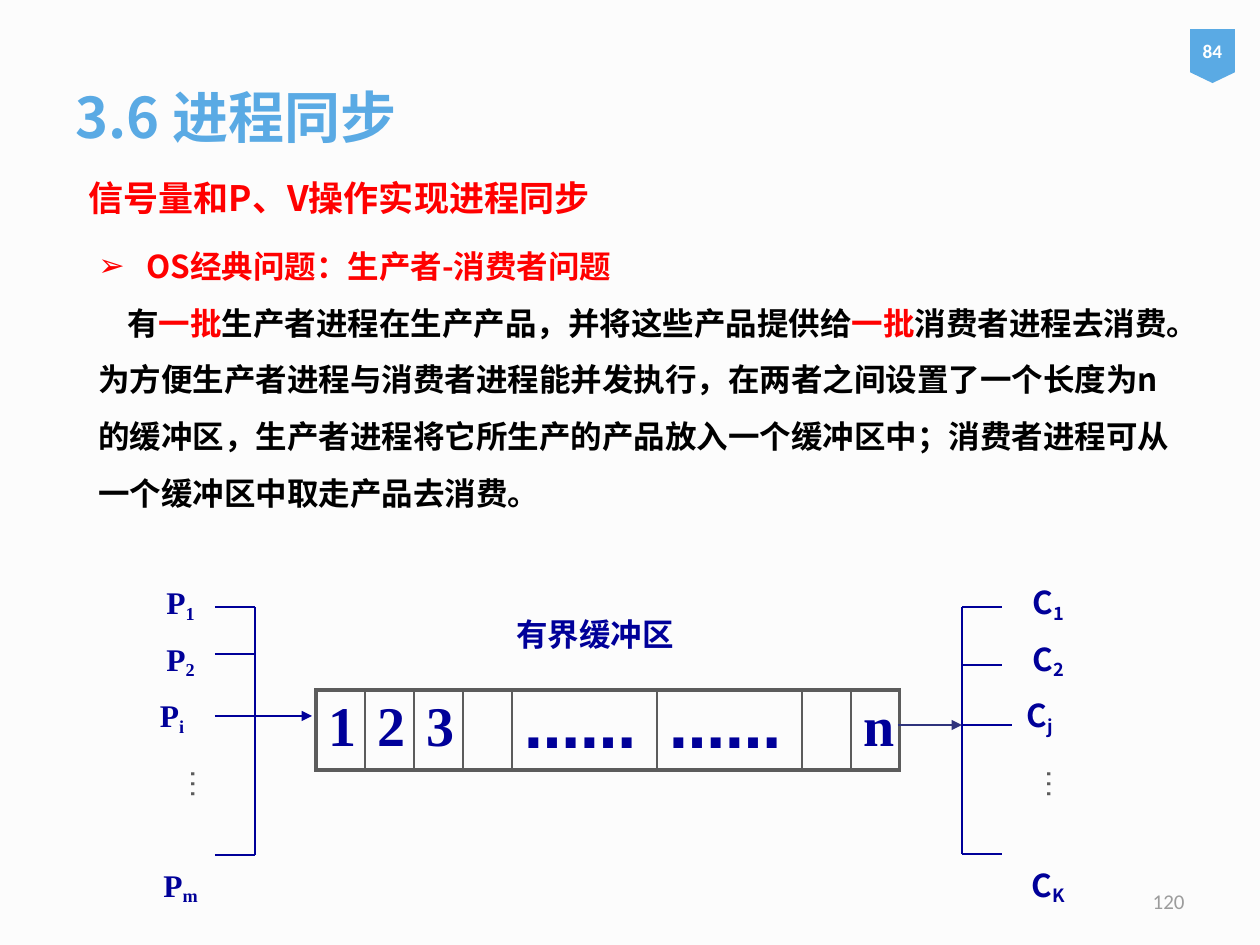
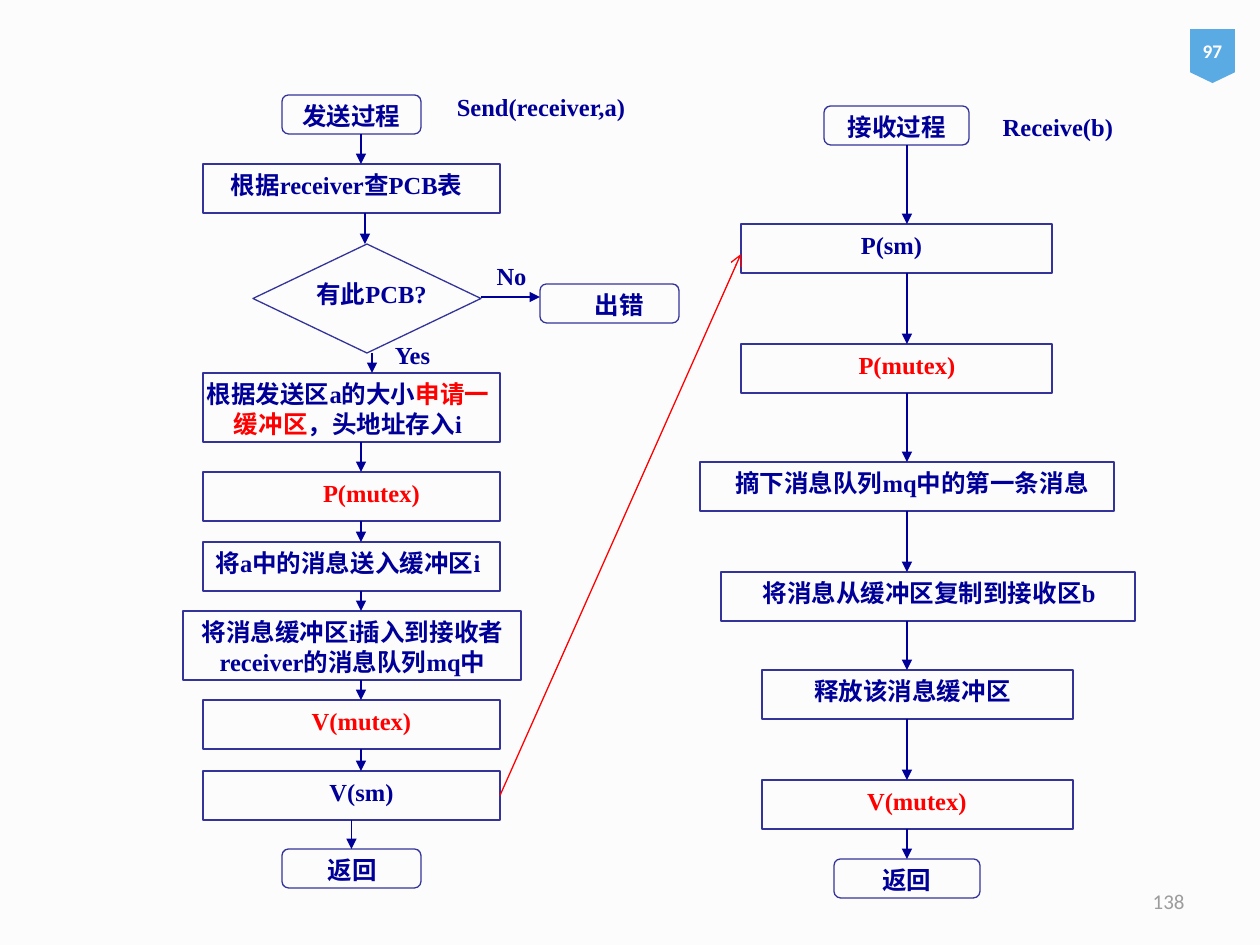
from lxml.etree import SubElement
from pptx import Presentation
from pptx.dml.color import RGBColor
from pptx.enum.shapes import MSO_CONNECTOR, MSO_SHAPE
from pptx.enum.text import MSO_ANCHOR, PP_ALIGN
from pptx.oxml.ns import qn
from pptx.util import Pt

EMU_PER_PX = 914400 / 126
COLORS = {
    "background": "FCFCFC", "accent": "5AAAE4", "white": "FFFFFF", "black": "000000",
    "red": "FF0000", "navy": "000099", "outline": "333399", "link": "2F337C",
    "border": "5C5C5C", "number": "9C9C9C",
}
CJK, SERIF, SANS = "Noto Sans CJK SC", "Times New Roman", "Calibri"
LEFT, CENTER, RIGHT = PP_ALIGN.LEFT, PP_ALIGN.CENTER, PP_ALIGN.RIGHT
RECTANGLE = MSO_SHAPE.RECTANGLE
ROUNDED = MSO_SHAPE.FLOWCHART_ALTERNATE_PROCESS
DECISION = MSO_SHAPE.FLOWCHART_DECISION
TOP_SITE, BOTTOM_SITE, RIGHT_SITE = 0, 2, 3


def px(length):
    return round(length * EMU_PER_PX)


def rgb(name):
    return RGBColor.from_string(COLORS[name])


# Text helpers
def style_run(run, size, color, font=SERIF, bold=True, east_asian=CJK):
    run.font.size = Pt(size)
    run.font.bold = bold
    run.font.color.rgb = rgb(color)
    run.font.name = font
    SubElement(run.font._element, qn("a:ea")).set("typeface", east_asian)


def write(paragraph, text, size, color, align=LEFT, **style):
    """Fill a paragraph with a string or with (text, color) runs."""
    paragraph.alignment = align
    for words, run_color in [(text, color)] if isinstance(text, str) else text:
        run = paragraph.add_run()
        run.text = words
        style_run(run, size, run_color, **style)


def add_text(slide, box, text, size, color, align=CENTER, anchor=MSO_ANCHOR.TOP, **style):
    shape = slide.shapes.add_textbox(*map(px, box))
    frame = shape.text_frame
    frame.word_wrap = True
    frame.vertical_anchor = anchor
    write(frame.paragraphs[0], text, size, color, align, **style)
    return shape


def add_label(slide, left, top, width, text, color="navy"):
    add_text(slide, (left, top, width, 43), text, 14, color)


# Shape helpers
def add_shape(slide, kind, box, fill=None):
    shape = slide.shapes.add_shape(kind, *map(px, box))
    shape.shadow.inherit = False
    if fill:
        shape.fill.solid()
        shape.fill.fore_color.rgb = rgb(fill)
        shape.line.fill.background()
    else:
        shape.fill.background()
        shape.line.color.rgb = rgb("outline")
        shape.line.width = Pt(0.75)
    return shape


def add_line(slide, start, end, color="navy", head=None):
    connector = slide.shapes.add_connector(
        MSO_CONNECTOR.STRAIGHT, *map(px, (*start, *end)))
    connector.line.color.rgb = rgb(color)
    connector.line.width = Pt(0.75)
    properties = connector.element.spPr
    if head:
        SubElement(properties.find(qn("a:ln")), qn("a:tailEnd")).set("type", head)
    SubElement(properties, qn("a:effectLst"))
    return connector


def add_slide(presentation, layout, badge, number):
    slide = presentation.slides.add_slide(presentation.slide_layouts[layout])
    slide.background.fill.solid()
    slide.background.fill.fore_color.rgb = rgb("background")
    # Page badge
    frame = add_shape(slide, MSO_SHAPE.FLOWCHART_OFFPAGE_CONNECTOR,
                      (1190, 29, 45, 54), "accent").text_frame
    frame.margin_left = frame.margin_right = 0
    frame.vertical_anchor = MSO_ANCHOR.MIDDLE
    write(frame.paragraphs[0], badge, 11, "white", CENTER, font=SANS)
    # Slide number
    add_text(slide, (903, 876, 294, 50), number, 12, "number", RIGHT,
             MSO_ANCHOR.MIDDLE, font=SANS, bold=False)
    return slide


# Producer and consumer parts
def add_title(slide, text):
    title = slide.shapes.title
    title.left, title.top, title.width, title.height = map(px, (63, 38, 1134, 157))
    title.text_frame.text = text
    title.text_frame.vertical_anchor = MSO_ANCHOR.MIDDLE
    paragraph = title.text_frame.paragraphs[0]
    paragraph.alignment = LEFT
    style_run(paragraph.runs[0], 32, "accent", font=CJK)


def add_problem(slide, heading, description):
    shape = add_text(slide, (86, 222, 1111, 324), heading, 18, "red", LEFT, font=CJK)
    bullet, body = shape.text_frame.paragraphs[0], shape.text_frame.add_paragraph()
    write(body, description, 18, "black", font=CJK)
    for paragraph, margin, indent in ((bullet, 48, -48), (body, 0, 29)):
        paragraph.line_spacing = 1.5
        properties = paragraph._p.get_or_add_pPr()
        properties.set("marL", str(px(margin)))
        properties.set("indent", str(px(indent)))
    properties = bullet._p.get_or_add_pPr()
    SubElement(properties, qn("a:buFont")).set("typeface", "Arial")
    SubElement(properties, qn("a:buChar")).set("char", "➢")


def set_borders(cell, first, last):
    widths = {"L": 2.25 if first else 1, "R": 2.25 if last else 1, "T": 2.25, "B": 2.25}
    properties = cell._tc.get_or_add_tcPr()
    for side, width in widths.items():
        line = SubElement(properties, qn(f"a:ln{side}"), w=str(Pt(width)))
        fill = SubElement(line, qn("a:solidFill"))
        SubElement(fill, qn("a:srgbClr")).set("val", COLORS["border"])


def add_buffer(slide, slots):
    widths = [145 if slot == "……" else 49 for slot in slots]
    box = (316, 690, sum(widths), 80)
    table = slide.shapes.add_table(1, len(slots), *map(px, box)).table
    table.first_row = table.horz_banding = False
    for index, (slot, width) in enumerate(zip(slots, widths)):
        table.columns[index].width = px(width)
        cell = table.cell(0, index)
        set_borders(cell, index == 0, index == len(slots) - 1)
        cell.fill.background()
        if slot:
            font = "DejaVu Sans" if slot == "……" else SERIF
            write(cell.text_frame.paragraphs[0], slot, 32, "navy", font=font, east_asian=font)


def add_bracket(slide, spine, stub, rows):
    for row in rows:
        add_line(slide, (stub, row), (spine, row))
    add_line(slide, (spine, rows[0]), (spine, rows[-1]))


def add_processes(slide, box, letter, subscripts, font):
    """List four indexed processes, with a gap of two lines before the last."""
    frame = add_text(slide, box, letter, 18, "navy", font=font).text_frame
    frame.margin_left = frame.margin_right = 0
    for index, subscript in enumerate(subscripts):
        paragraph = frame.paragraphs[0]
        if index:
            paragraph = frame.add_paragraph()
            write(paragraph, letter, 18, "navy", CENTER, font=font)
            paragraph.space_before = Pt(73.5 if index == 3 else 9)
        # The third label sits a little to the left of the others
        right_margin = 17 if index == 2 else 0
        paragraph._p.get_or_add_pPr().set("marR", str(px(right_margin)))
        run = paragraph.add_run()
        run.text = subscript
        style_run(run, 18, "navy", font=font)
        run.font._element.set("baseline", "-18000")


def add_vertical_dots(slide, left):
    dots = add_text(slide, (left, 756, 63, 49), "…", 18, "border",
                    font="Arial", bold=False, east_asian="Arial")
    dots.text_frame._txBody.bodyPr.set("vert", "eaVert")


def build_producer_consumer(presentation):
    slide = add_slide(presentation, 5, "84", "120")
    add_title(slide, "3.6 进程同步")
    subtitle = add_text(slide, (76, 149, 1101, 95), "信号量和P、V操作实现进程同步",
                        20, "red", LEFT, font=CJK)
    subtitle.text_frame.paragraphs[0].line_spacing = 1.5
    add_problem(slide, "OS经典问题：生产者-消费者问题", [
        ("有", "black"), ("一批", "red"),
        ("生产者进程在生产产品，并将这些产品提供给", "black"), ("一批", "red"),
        ("消费者进程去消费。为方便生产者进程与消费者进程能并发执行，"
         "在两者之间设置了一个长度为n的缓冲区，生产者进程将它所生产的产品放入"
         "一个缓冲区中；消费者进程可从一个缓冲区中取走产品去消费。", "black")])
    # Bounded buffer
    add_buffer(slide, ["1", "2", "3", "", "……", "……", "", "n"])
    add_text(slide, (461, 609, 268, 50), "有界缓冲区", 18, "navy", font=CJK)
    # Producers
    add_bracket(slide, 255, 215, (607, 654, 855))
    add_line(slide, (215, 716), (312, 716), head="triangle")
    add_processes(slide, (145, 577, 71, 299), "P", "12im", SERIF)
    add_vertical_dots(slide, 166)
    # Consumers
    add_bracket(slide, 962, 1002, (607, 665, 854))
    add_line(slide, (1012, 725), (962, 725))
    add_line(slide, (898, 725), (962, 725), "link", "triangle")
    add_processes(slide, (1012, 577, 73, 297), "C", "12jK", CJK)
    add_vertical_dots(slide, 1022)


# Flowchart parts
def add_step(slide, kind, box, label_left, label_width, text, color="navy"):
    shape = add_shape(slide, kind, box)
    label_top = box[1] + (29 if kind == DECISION else 0)
    add_label(slide, label_left, label_top, label_width, text, color)
    return shape


def add_flow(slide, steps, arrow_columns):
    """Stack steps and join each one to the next at the given column."""
    shapes = [add_step(slide, *step) for step in steps]
    for index, column in enumerate(arrow_columns):
        upper, lower = steps[index][1], steps[index + 1][1]
        arrow = add_line(slide, (column, upper[1] + upper[3]), (column, lower[1]),
                         head="triangle")
        if abs(upper[0] + upper[2] / 2 - column) < 1:
            arrow.begin_connect(shapes[index], BOTTOM_SITE)
        if abs(lower[0] + lower[2] / 2 - column) < 1:
            arrow.end_connect(shapes[index + 1], TOP_SITE)
    return shapes


def build_message_flow(presentation):
    slide = add_slide(presentation, 6, "97", "138")
    # Sending side
    request = [("根据发送区a的大小", "navy"), ("申请一缓冲区", "red"), ("，头地址存入i", "navy")]
    send_steps = [
        (ROUNDED, (282, 95, 139, 39), 272, 159, "发送过程"),
        (RECTANGLE, (203, 164, 297, 49), 193, 307, "根据receiver查PCB表"),
        (DECISION, (253, 244, 228, 109), 292, 159, "有此PCB?"),
        (RECTANGLE, (203, 373, 297, 69), 184, 328, request),
        (RECTANGLE, (203, 472, 297, 49), 292, 159, "P(mutex)", "red"),
        (RECTANGLE, (203, 542, 297, 49), 184, 328, "将a中的消息送入缓冲区i"),
        (RECTANGLE, (183, 611, 338, 69), 164, 377, "将消息缓冲区i插入到接收者receiver的消息队列mq中"),
        (RECTANGLE, (203, 700, 297, 49), 282, 159, "V(mutex)", "red"),
        (RECTANGLE, (203, 771, 297, 49), 282, 159, "V(sm)"),
        (ROUNDED, (282, 849, 139, 39), 273, 159, "返回"),
    ]
    send_shapes = add_flow(slide, send_steps, [361, 365, 372] + [361] * 5 + [352])
    # Missing control block
    add_step(slide, ROUNDED, (540, 284, 139, 39), 540, 159, "出错")
    add_line(slide, (481, 297), (540, 297), head="triangle")
    add_label(slide, 333, 334, 159, "Yes")
    add_label(slide, 432, 255, 159, "No")
    # Receiving side
    receive_steps = [
        (ROUNDED, (824, 106, 145, 39), 814, 166, "接收过程"),
        (RECTANGLE, (741, 224, 311, 49), 731, 321, "P(sm)"),
        (RECTANGLE, (741, 344, 311, 49), 824, 166, "P(mutex)", "red"),
        (RECTANGLE, (700, 462, 414, 49), 689, 446, "摘下消息队列mq中的第一条消息"),
        (RECTANGLE, (721, 572, 414, 49), 711, 436, "将消息从缓冲区复制到接收区b"),
        (RECTANGLE, (762, 670, 311, 49), 752, 321, "释放该消息缓冲区"),
        (RECTANGLE, (762, 780, 311, 49), 834, 166, "V(mutex)", "red"),
        (ROUNDED, (834, 859, 146, 39), 824, 166, "返回"),
    ]
    add_flow(slide, receive_steps, [907] * 7)
    # Call names and the signal between the two sides
    add_label(slide, 432, 86, 218, "Send(receiver,a)")
    add_label(slide, 970, 106, 176, "Receive(b)")
    signal = add_line(slide, (501, 796), (741, 254), "red", "arrow")
    signal.begin_connect(send_shapes[-2], RIGHT_SITE)


def main():
    presentation = Presentation()
    presentation.slide_width, presentation.slide_height = px(1260), px(945)
    build_producer_consumer(presentation)
    build_message_flow(presentation)
    presentation.save("out.pptx")


if __name__ == "__main__":
    main()
